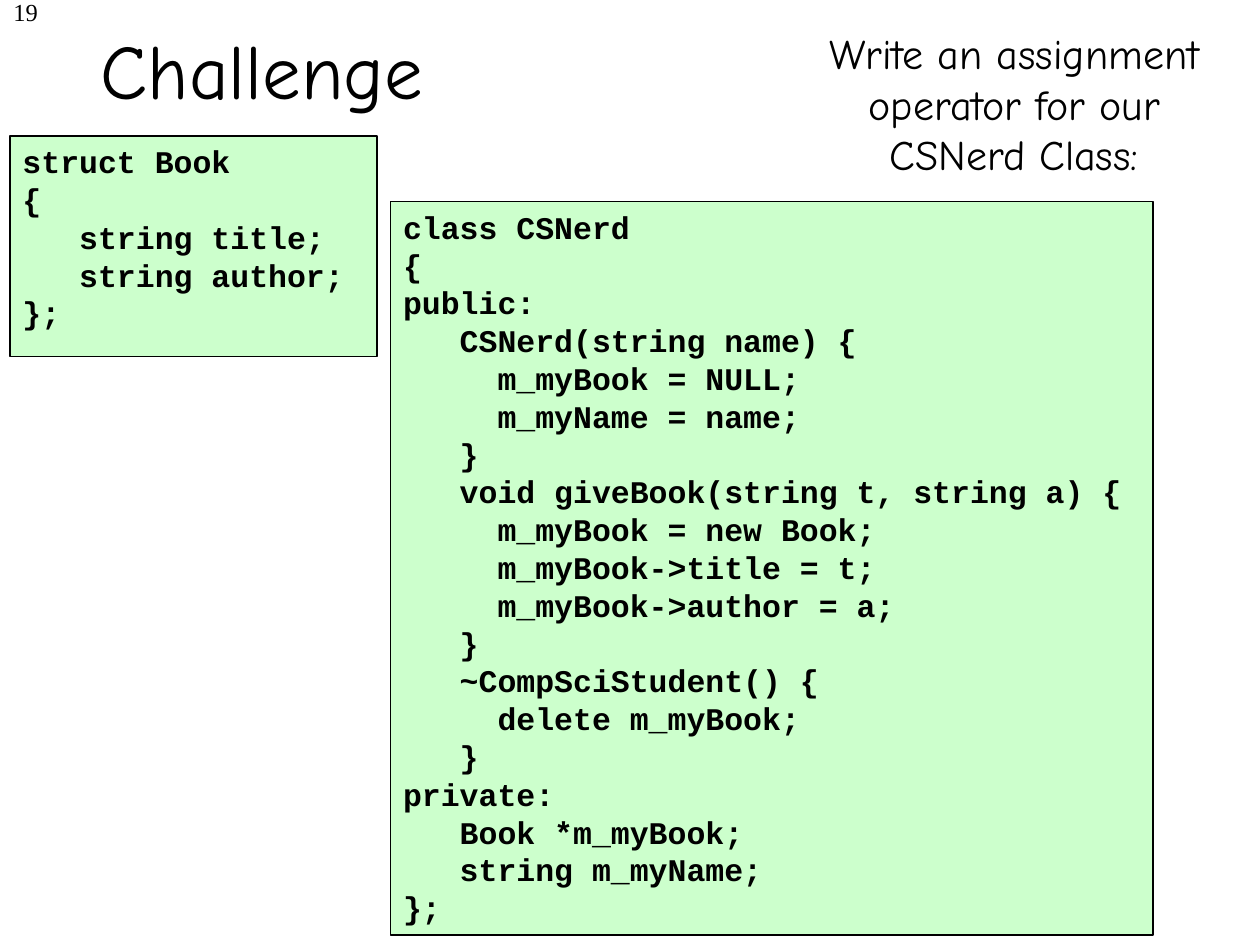
from dataclasses import dataclass

from pptx import Presentation
from pptx.dml.color import RGBColor
from pptx.enum.shapes import MSO_SHAPE as Shape
from pptx.enum.text import MSO_ANCHOR as Anchor, PP_ALIGN as Align
from pptx.shapes.autoshape import Shape as Box
from pptx.slide import Slide
from pptx.util import Inches, Pt

SLIDE_WIDTH, SLIDE_HEIGHT = Inches(10), Inches(7.5)


@dataclass(frozen=True)
class Style:
    font: str
    size: float
    bold: bool = False


@dataclass(frozen=True)
class Theme:
    ink: RGBColor = RGBColor(0x00, 0x00, 0x00)
    code_fill: RGBColor = RGBColor(0xCC, 0xFF, 0xCC)
    outline: float = 1
    number: Style = Style("Times New Roman", 14)
    title: Style = Style("Comic Neue", 44)
    task: Style = Style("Comic Neue", 24)
    code: Style = Style("Courier New", 18, bold=True)


@dataclass(frozen=True)
class Area:
    """A rectangle in percent of the slide's width and height."""
    left: float
    top: float
    width: float
    height: float

    def lengths(self) -> tuple[int, int, int, int]:
        return (int(SLIDE_WIDTH * self.left / 100), int(SLIDE_HEIGHT * self.top / 100),
                int(SLIDE_WIDTH * self.width / 100), int(SLIDE_HEIGHT * self.height / 100))


@dataclass(frozen=True)
class Label:
    text: str
    area: Area
    style: Style
    align: Align = Align.CENTER
    anchor: Anchor = Anchor.TOP


@dataclass(frozen=True)
class Listing:
    code: str
    area: Area


THEME = Theme()

LABELS = [
    Label("19", Area(-16.8, -0.93, 20.8, 6.67), THEME.number, Align.RIGHT),
    Label("Challenge", Area(-21.7, -1.07, 85, 16.67), THEME.title, anchor=Anchor.MIDDLE),
    Label("Write an assignment operator for our CSNerd Class:",
          Area(63.1, 2.27, 34.8, 17.33), THEME.task),
]

BOOK = """\
struct Book
{
   string title;
   string author;
};"""

NERD = """\
class CSNerd
{
public:
   CSNerd(string name) {
     m_myBook = NULL;
     m_myName = name;
   }
   void giveBook(string t, string a) {
     m_myBook = new Book;
     m_myBook->title = t;
     m_myBook->author = a;
   }
   ~CompSciStudent() {
     delete m_myBook;
   }
private:
   Book *m_myBook;
   string m_myName;
};"""

LISTINGS = [
    Listing(BOOK, Area(0.8, 14.4, 29.1, 23.33)),
    Listing(NERD, Area(31, 21.33, 60.5, 77.6)),
]


def write_text(box: Box, text: str, style: Style, align: Align, anchor: Anchor) -> None:
    """Fill the box with one paragraph per line of text."""
    frame = box.text_frame
    frame.word_wrap = True
    frame.vertical_anchor = anchor
    for index, line in enumerate(text.splitlines()):
        para = frame.add_paragraph() if index else frame.paragraphs[0]
        para.alignment = align
        span = para.add_run()
        span.text = line
        span.font.name = style.font
        span.font.size = Pt(style.size)
        span.font.bold = style.bold
        span.font.color.rgb = THEME.ink


def draw_label(page: Slide, label: Label) -> None:
    box = page.shapes.add_textbox(*label.area.lengths())
    write_text(box, label.text, label.style, label.align, label.anchor)


def draw_listing(page: Slide, listing: Listing) -> None:
    box = page.shapes.add_shape(Shape.RECTANGLE, *listing.area.lengths())
    box.shadow.inherit = False
    box.fill.solid()
    box.fill.fore_color.rgb = THEME.code_fill
    box.line.color.rgb = THEME.ink
    box.line.width = Pt(THEME.outline)
    write_text(box, listing.code, THEME.code, Align.LEFT, Anchor.TOP)


def main() -> None:
    deck = Presentation()
    deck.slide_width, deck.slide_height = SLIDE_WIDTH, SLIDE_HEIGHT
    page = deck.slides.add_slide(deck.slide_layouts[6])
    for label in LABELS:
        draw_label(page, label)
    for listing in LISTINGS:
        draw_listing(page, listing)
    deck.save("out.pptx")


if __name__ == "__main__":
    main()
